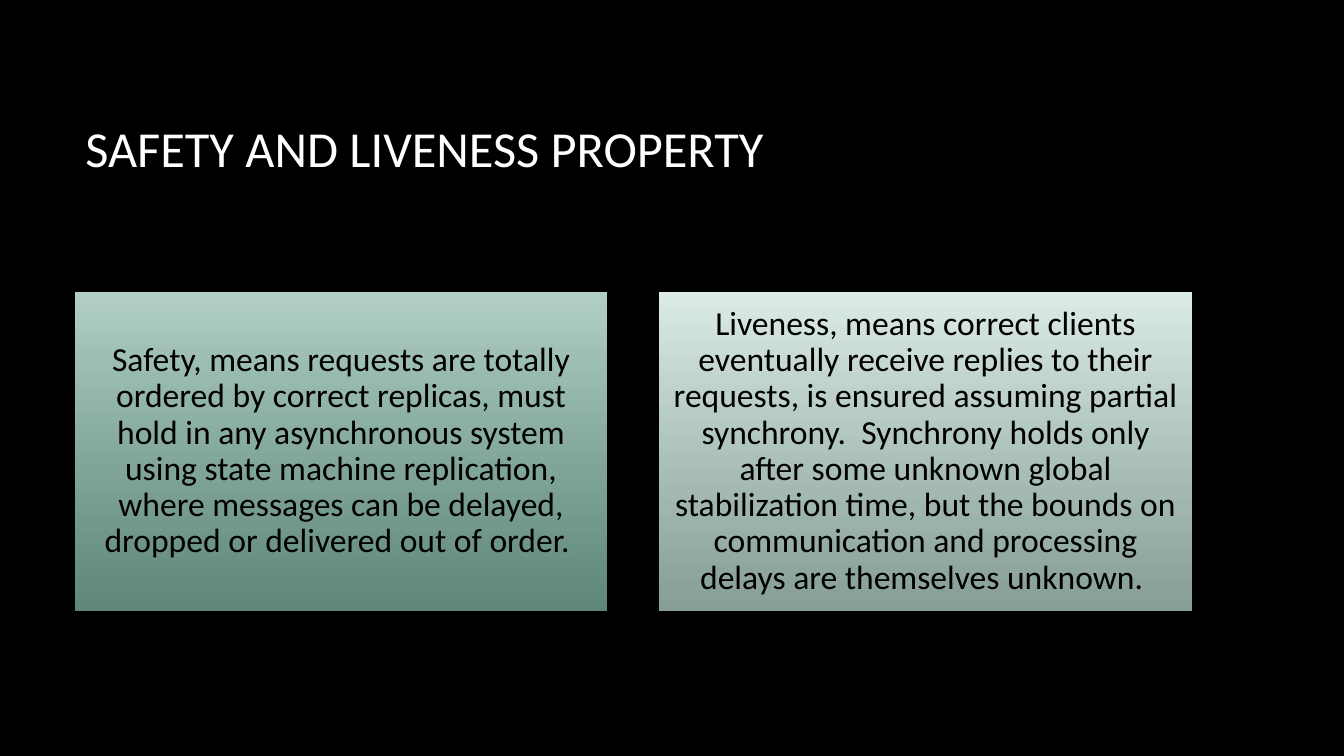
import lxml.etree
import pptx
import pptx.util
import pptx.dml.color
import pptx.enum.shapes
import pptx.enum.text
import pptx.oxml.ns

Cm = pptx.util.Cm
ALIGN = pptx.enum.text.PP_ALIGN


def color(hex_string):
    return pptx.dml.color.RGBColor.from_string(hex_string)


def write_text(shape, text, size, hex_string, align, line_spacing):
    frame = shape.text_frame
    frame_format = {
        "word_wrap": True,
        "auto_size": pptx.enum.text.MSO_AUTO_SIZE.NONE,
        "vertical_anchor": pptx.enum.text.MSO_ANCHOR.MIDDLE,
        "margin_left": Cm(0.25),
        "margin_right": Cm(0.25),
        "margin_top": Cm(0.25),
        "margin_bottom": Cm(0.25),
    }
    for name, value in frame_format.items():
        setattr(frame, name, value)
    para = frame.paragraphs[0]
    para.alignment = align
    para.line_spacing = line_spacing
    span = para.add_run()
    span.text = text
    for name, value in {"name": "Calibri", "size": pptx.util.Pt(size), "bold": False}.items():
        setattr(span.font, name, value)
    span.font.color.rgb = color(hex_string)


# Deck and black page
deck = pptx.Presentation()
deck.slide_width, deck.slide_height = Cm(33.87), Cm(19.05)
page = deck.slides.add_slide(deck.slide_layouts.get_by_name("Title Only"))
page.background.fill.solid()
page.background.fill.fore_color.rgb = color("000000")

# Title
title = page.shapes.title
title_place = {"left": Cm(1.9), "top": Cm(1.7), "width": Cm(28.14), "height": Cm(4.04)}
for name, value in title_place.items():
    setattr(title, name, value)
write_text(title, "SAFETY AND LIVENESS PROPERTY", 36, "FFFFFF", ALIGN.LEFT, 1.0)

# Two property boxes: text, top colour, bottom colour
properties = [
    ("Safety, means requests are totally ordered by correct replicas, must hold in any "
     "asynchronous system using state machine replication, where messages can be delayed, "
     "dropped or delivered out of order. ", "B3D1C8", "82B7A7"),
    ("Liveness, means correct clients eventually receive replies to their requests, is "
     "ensured assuming partial synchrony.  Synchrony holds only after some unknown global "
     "stabilization time, but the bounds on communication and processing delays are "
     "themselves unknown. ", "DEEDE8", "B6D7CD"),
]
box_width, box_gap = 13.39, 1.34
for index, (text, *shades) in enumerate(properties):
    left = 1.9 + index * (box_width + box_gap)
    box = page.shapes.add_shape(
        pptx.enum.shapes.MSO_SHAPE.RECTANGLE, Cm(left), Cm(7.36), Cm(box_width), Cm(8.03))
    box.shadow.inherit = False
    box.line.fill.background()
    box.fill.gradient()
    box.fill.gradient_angle = 270
    for position, (stop, shade) in enumerate(zip(box.fill.gradient_stops, shades)):
        stop.position = position
        stop.color.rgb = color(shade)
    # The bottom colour lets the black page show through
    bottom_color = list(box.element.iter(pptx.oxml.ns.qn("a:gs")))[-1][0]
    lxml.etree.SubElement(bottom_color, pptx.oxml.ns.qn("a:alpha"), val="74000")
    write_text(box, text, 24, "000000", ALIGN.CENTER, 0.9)

deck.save("out.pptx")
